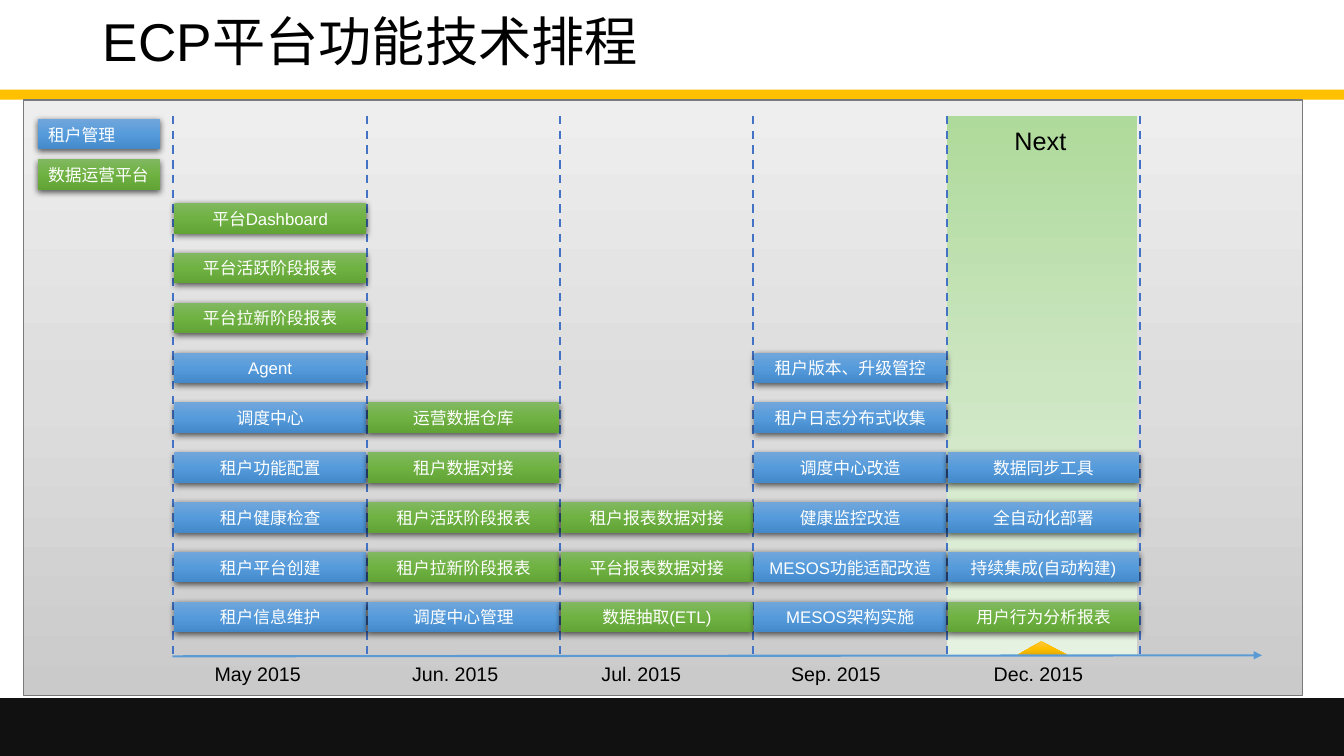
from copy import deepcopy

from pptx import Presentation
from pptx.dml.color import RGBColor
from pptx.enum.dml import MSO_LINE
from pptx.enum.shapes import MSO_CONNECTOR, MSO_SHAPE
from pptx.enum.text import MSO_ANCHOR, MSO_AUTO_SIZE, PP_ALIGN
from pptx.oxml import parse_xml
from pptx.oxml.ns import nsdecls, qn
from pptx.util import Pt

BLUE = ("71A6DB", "559BDB", "448ACA")
GREEN = ("81B861", "6FB242", "62A336")
GOLD = ("FFC64B", "FFC000", "E3AB00")
PALE_GREEN = ("AEDA9B", "CDE6C2", "E6F2E1")
GREY = ("EEEEEE", "DDDDDD", "CACACA")

LEGEND = [("租户管理", BLUE), ("数据运营平台", GREEN)]
MONTHS = [
    ("May 2015", 22.4, 76, [
        ("租户信息维护", BLUE), ("租户平台创建", BLUE), ("租户健康检查", BLUE),
        ("租户功能配置", BLUE), ("调度中心", BLUE), ("Agent", BLUE),
        ("平台拉新阶段报表", GREEN), ("平台活跃阶段报表", GREEN), ("平台Dashboard", GREEN)]),
    ("Jun. 2015", 25.4, 76, [
        ("调度中心管理", BLUE), ("租户拉新阶段报表", GREEN), ("租户活跃阶段报表", GREEN),
        ("租户数据对接", GREEN), ("运营数据仓库", GREEN)]),
    ("Jul. 2015", 22.6, 72, [
        ("数据抽取(ETL)", GREEN), ("平台报表数据对接", GREEN), ("租户报表数据对接", GREEN)]),
    ("Sep. 2015", 19.9, 78.5, [
        ("MESOS架构实施", BLUE), ("MESOS功能适配改造", BLUE), ("健康监控改造", BLUE),
        ("调度中心改造", BLUE), ("租户日志分布式收集", BLUE), ("租户版本、升级管控", BLUE)]),
    ("Dec. 2015", 26.5, 78.5, [
        ("用户行为分析报表", GREEN), ("持续集成(自动构建)", BLUE), ("全自动化部署", BLUE),
        ("数据同步工具", BLUE)]),
]


def colour(value):
    """Turn a hex string into a colour."""
    return RGBColor.from_string(value)


def apply(target, formats):
    """Set every attribute named in formats on target."""
    for attribute, value in formats.items():
        setattr(target, attribute, value)


def write(shape, wording, size, ink, frame_format, paragraph_format):
    """Put one formatted paragraph into a shape."""
    frame = shape.text_frame
    frame.text = wording
    apply(frame, frame_format)
    paragraph = frame.paragraphs[0]
    apply(paragraph, paragraph_format)
    apply(paragraph.font, {"size": Pt(size), "name": "Arial"})
    paragraph.font.color.rgb = colour(ink)


def add_block(slide, box, tones, outline=None, width=1, kind=MSO_SHAPE.RECTANGLE):
    """Add a shape with one solid tone or a three-tone vertical gradient."""
    block = slide.shapes.add_shape(kind, *map(Pt, box))
    block.shadow.inherit = False
    if len(tones) == 1:
        block.fill.solid()
        block.fill.fore_color.rgb = colour(tones[0])
    else:
        block.fill.gradient()
        block.fill.gradient_angle = 270
        stops = block.element.spPr.find(".//" + qn("a:gsLst"))
        stops.append(deepcopy(stops[0]))
        for index, (stop, tone) in enumerate(zip(block.fill.gradient_stops, tones)):
            stop.position = index / 2
            stop.color.rgb = colour(tone)
    if outline:
        block.line.color.rgb = colour(outline)
        block.line.width = Pt(width)
    else:
        block.line.fill.background()
    return block


def add_card(slide, box, wording, tones, alignment):
    """Add a feature card with its soft shadow."""
    card = add_block(slide, box, tones)
    card.element.spPr.find(qn("a:effectLst")).append(parse_xml(
        f'<a:outerShdw {nsdecls("a")} blurRad="57150" dist="19050" dir="5400000" '
        'algn="ctr" rotWithShape="0"><a:srgbClr val="000000"><a:alpha val="63000"/>'
        '</a:srgbClr></a:outerShdw>'))
    write(card, wording, 12, "FFFFFF",
          {"word_wrap": True, "vertical_anchor": MSO_ANCHOR.MIDDLE}, {"alignment": alignment})


def add_label(slide, box, wording, size):
    """Add an unwrapped black label."""
    label = slide.shapes.add_textbox(*map(Pt, box))
    write(label, wording, size, "000000",
          {"word_wrap": False, "auto_size": MSO_AUTO_SIZE.SHAPE_TO_FIT_TEXT}, {})


def add_rule(slide, start, end, ink):
    """Add a straight line between two points."""
    rule = slide.shapes.add_connector(MSO_CONNECTOR.STRAIGHT, *map(Pt, start + end))
    rule.line.color.rgb = colour(ink)
    rule.line.width = Pt(1.5)
    rule.element.spPr.append(parse_xml(f'<a:effectLst {nsdecls("a")}/>'))
    return rule


def add_heading(slide, box):
    """Place the title in its box."""
    title = slide.shapes.title
    apply(title, dict(zip(("left", "top", "width", "height"), map(Pt, box))))
    write(title, "ECP平台功能技术排程", 38, "000000",
          {"word_wrap": True, "vertical_anchor": MSO_ANCHOR.MIDDLE,
           "auto_size": MSO_AUTO_SIZE.NONE},
          {"alignment": PP_ALIGN.LEFT, "line_spacing": 0.9})


def add_legend(slide, box):
    """Stack the two legend cards in the box."""
    left, top, width, height = box
    pitch = height / len(LEGEND)
    for row, (wording, tones) in enumerate(LEGEND):
        add_card(slide, (left, top + row * pitch, width, 21.8), wording, tones, PP_ALIGN.LEFT)


def add_next_area(slide, box):
    """Draw the highlighted area for the next stage and its marker."""
    left, top, width, height = box
    add_block(slide, box, PALE_GREEN)
    marker = add_block(slide, (left + 50.7, top + height - 10, 35.3, 9.6), GOLD,
                       "FFC000", 0.5, MSO_SHAPE.ISOSCELES_TRIANGLE)
    marker.adjustments[0] = 0.48


def add_timeline(slide, box):
    """Draw the month columns, their axis and their cards in the box."""
    left, top, width, height = box
    pitch = width / len(MONTHS)
    bottom = top + height
    add_next_area(slide, (left + 4 * pitch, top, 136.2, height - 2))
    for column in range(len(MONTHS) + 1):
        x = left + column * pitch
        add_rule(slide, (x, top), (x, bottom), "4472C4").line.dash_style = MSO_LINE.DASH
    axis = add_rule(slide, (left - 0.7, bottom - 1.4), (left + 777.6, bottom - 2.1), "5B9BD5")
    axis.line._get_or_add_ln().append(parse_xml(f'<a:tailEnd {nsdecls("a")} type="triangle"/>'))
    for column, (month, indent, label_width, features) in enumerate(MONTHS):
        x = left + column * pitch
        add_label(slide, (x + indent, bottom - 0.8, label_width, 24.2), month, 14)
        for row, (wording, tones) in enumerate(features):
            add_card(slide, (x + 0.8, bottom - 40.3 - 35.6 * row, 136.8, 21.8),
                     wording, tones, PP_ALIGN.CENTER)
    add_label(slide, (left + 4 * pitch + 41.4, top + 2.9, 52, 29), "Next", 18)


def main():
    """Build and save the schedule slide."""
    deck = Presentation()
    apply(deck, {"slide_width": Pt(960), "slide_height": Pt(540)})
    slide = deck.slides.add_slide(deck.slide_layouts[5])
    add_block(slide, (0, 64.1, 960, 7.2), ("FFC000",))
    add_block(slide, (0, 498.6, 960, 41.4), ("111111",))
    add_heading(slide, (66.2, 0.7, 828, 61.2))
    add_block(slide, (16.6, 71.3, 913.7, 425.5), GREY, "7A7A7A")
    add_timeline(slide, (123.8, 82.8, 690.5, 387.4))
    add_legend(slide, (27.2, 85, 87, 57.6))
    deck.save("out.pptx")


if __name__ == "__main__":
    main()
